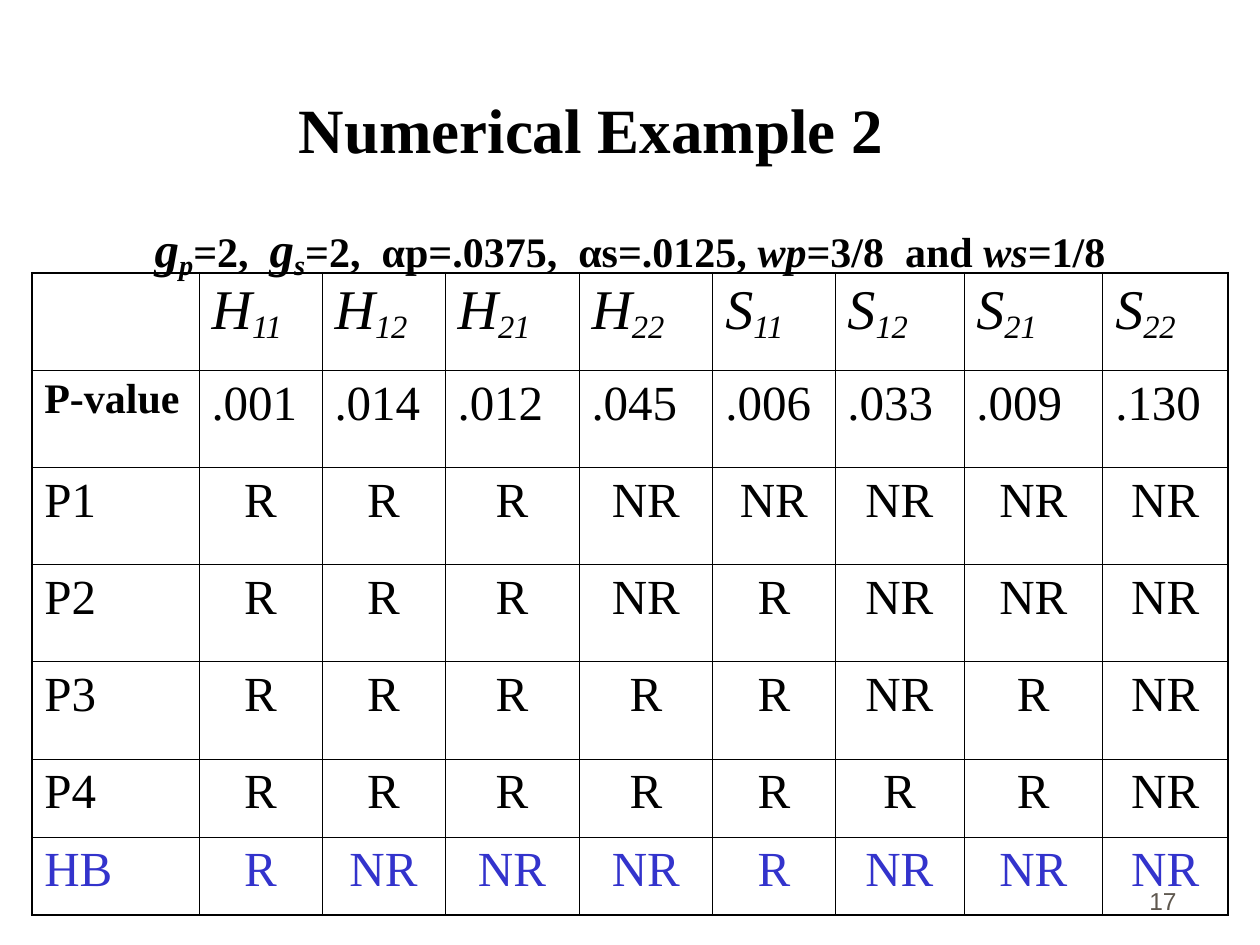
from lxml.etree import SubElement
from pptx import Presentation
from pptx.dml.color import RGBColor
from pptx.enum.text import MSO_ANCHOR, PP_ALIGN
from pptx.oxml.ns import qn
from pptx.util import Cm, Pt

BLACK = RGBColor(0x00, 0x00, 0x00)
BLUE = RGBColor(0x33, 0x33, 0xCC)
GREY = RGBColor(0x5E, 0x57, 0x4E)


def write(para, text, size=28, color=BLACK, font="Times New Roman", bold=False, italic=False, sub=False):
    span = para.add_run()
    span.text = text
    span.font.name = font
    span.font.size = Pt(size)
    span.font.bold = bold
    span.font.italic = italic
    span.font.color.rgb = color
    if sub:
        span._r.get_or_add_rPr().set("baseline", "-16000")


def add_para(page, left, top, width, height, align, spacing):
    box = page.shapes.add_textbox(Cm(left), Cm(top), Cm(width), Cm(height))
    box.text_frame.word_wrap = True
    box.text_frame.vertical_anchor = MSO_ANCHOR.BOTTOM
    para = box.text_frame.paragraphs[0]
    para.alignment = align
    para.line_spacing = spacing
    return para


deck = Presentation()
deck.slide_width = Cm(25.4)
deck.slide_height = Cm(19.05)
page = deck.slides.add_slide(deck.slide_layouts[6])

title = add_para(page, 1.12, 0.64, 21.59, 2.74, PP_ALIGN.CENTER, 0.5)
write(title, "Numerical Example 2", size=36, bold=True)

settings = add_para(page, 0, 3.18, 25.4, 2.54, PP_ALIGN.CENTER, 0.8)
for text, size, italic, sub in [
    ("g", 28, True, False),
    ("p", 28, True, True),
    ("=2,  ", 24, False, False),
    ("g", 28, True, False),
    ("s", 28, True, True),
    ("=2,  αp=.0375,  αs=.0125, ", 24, False, False),
    ("wp", 24, True, False),
    ("=3/8  and ", 24, False, False),
    ("ws=", 24, True, False),
    ("1/8", 24, False, False),
]:
    write(settings, text, size=size, bold=True, italic=italic, sub=sub)

rows = [
    ["", "H11", "H12", "H21", "H22", "S11", "S12", "S21", "S22"],
    ["P-value", ".001", ".014", ".012", ".045", ".006", ".033", ".009", ".130"],
    ["P1", "R", "R", "R", "NR", "NR", "NR", "NR", "NR"],
    ["P2", "R", "R", "R", "NR", "R", "NR", "NR", "NR"],
    ["P3", "R", "R", "R", "R", "R", "NR", "R", "NR"],
    ["P4", "R", "R", "R", "R", "R", "R", "R", "NR"],
    ["HB", "R", "NR", "NR", "NR", "R", "NR", "NR", "NR"],
]
widths = [3.37, 2.48, 2.48, 2.7, 2.7, 2.46, 2.6, 2.8, 2.52]
heights = [1.96] * 5 + [1.57] * 2
last_row, last_column = len(rows) - 1, len(widths) - 1

frame = page.shapes.add_table(
    len(rows), len(widths), Cm(0.64), Cm(5.5), Cm(sum(widths)), Cm(sum(heights))
)
table = frame.table
table.first_row = False
table.horz_banding = False
for column, width in zip(table.columns, widths):
    column.width = Cm(width)
for row, height in zip(table.rows, heights):
    row.height = Cm(height)

for r, values in enumerate(rows):
    for c, value in enumerate(values):
        cell = table.cell(r, c)
        properties = cell._tc.get_or_add_tcPr()
        for side, outer in [("L", c == 0), ("R", c == last_column), ("T", r == 0), ("B", r == last_row)]:
            line = SubElement(properties, qn(f"a:ln{side}"), w=str(Pt(1.08 if outer else 0.45)))
            fill = SubElement(line, qn("a:solidFill"))
            SubElement(fill, qn("a:srgbClr"), val=str(BLACK))
        cell.fill.background()
        para = cell.text_frame.paragraphs[0]
        para.space_before = Pt(7)
        if r == 0:
            if value:
                para.space_before = Pt(8)
                write(para, value[0], size=32, italic=True)
                write(para, value[1:], size=32, italic=True, sub=True)
        elif value == "P-value":
            para.space_before = Pt(6)
            write(para, value, size=24, bold=True)
        else:
            if r > 1 and c > 0:
                para.alignment = PP_ALIGN.CENTER
            write(para, value, color=BLUE if r == last_row else BLACK)

number = add_para(page, 18.69, 17.3, 5.28, 1.27, PP_ALIGN.RIGHT, 1.0)
write(number, "17", size=14, color=GREY, font="Arial")

deck.save("out.pptx")
